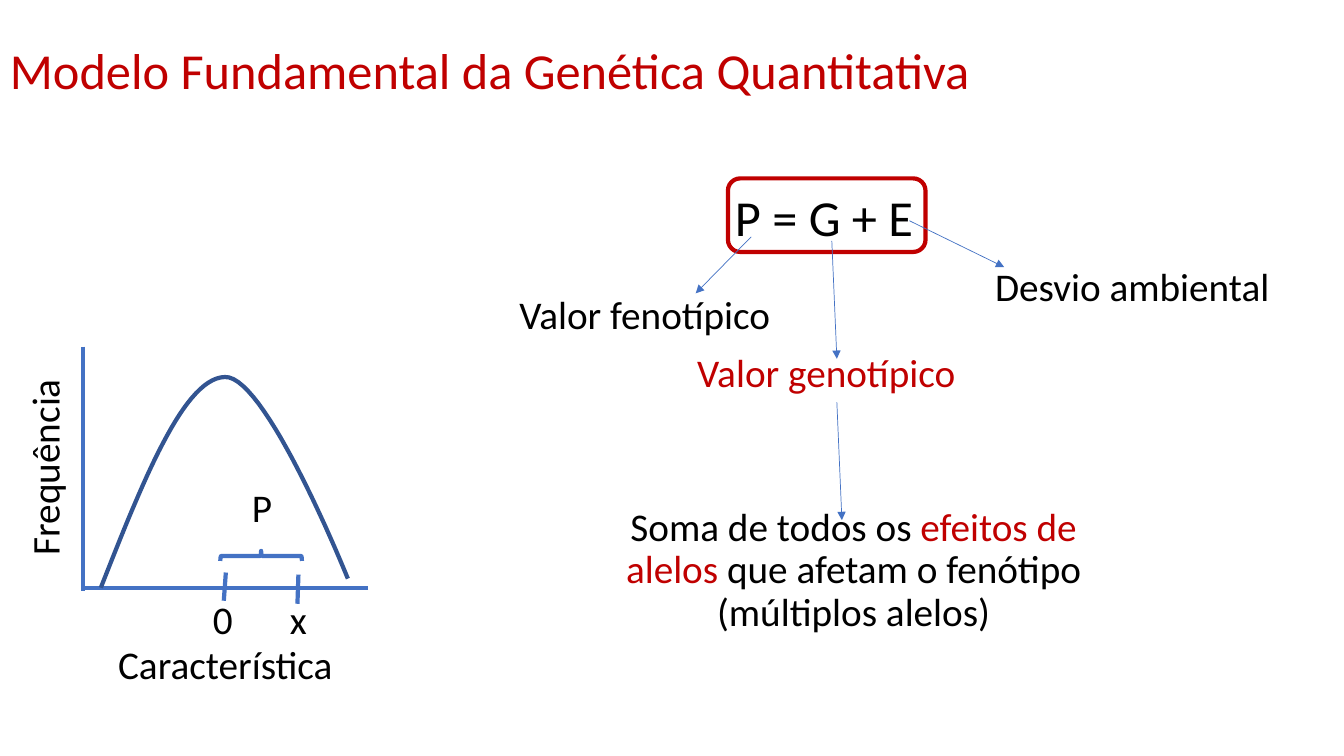
import pptx
import pptx.dml.color
import pptx.enum.shapes
import pptx.enum.text
import pptx.oxml
import pptx.util
from pptx.util import Inches

RED = pptx.dml.color.RGBColor(0xC0, 0x00, 0x00)
BLACK = pptx.dml.color.RGBColor(0x00, 0x00, 0x00)
BLUE = pptx.dml.color.RGBColor(0x44, 0x72, 0xC4)
DARK_BLUE = pptx.dml.color.RGBColor(0x32, 0x54, 0x91)
LEFT = pptx.enum.text.PP_ALIGN.LEFT
CENTER = pptx.enum.text.PP_ALIGN.CENTER
SHAPES = pptx.enum.shapes.MSO_SHAPE
NAMESPACE = 'xmlns:a="http://schemas.openxmlformats.org/drawingml/2006/main"'

presentation = pptx.Presentation()
presentation.slide_width = Inches(13.33)
presentation.slide_height = Inches(7.5)
slide = presentation.slides.add_slide(presentation.slide_layouts[6])


def add_text(box, paragraphs, size=28, alignment=CENTER):
    """Add a text box; each paragraph is a list of (text, colour) runs."""
    shape = slide.shapes.add_textbox(*map(Inches, box))
    frame = shape.text_frame
    frame.word_wrap = True
    frame.vertical_anchor = pptx.enum.text.MSO_ANCHOR.MIDDLE
    for index, runs in enumerate(paragraphs):
        paragraph = frame.add_paragraph() if index else frame.paragraphs[0]
        paragraph.alignment = alignment
        paragraph.line_spacing = 0.9
        for text, color in runs:
            run = paragraph.add_run()
            run.text = text
            run.font.name = "Calibri"
            run.font.size = pptx.util.Pt(size)
            run.font.color.rgb = color
    return shape


def add_line(start, end, width=3, arrow=False):
    connector = slide.shapes.add_connector(
        pptx.enum.shapes.MSO_CONNECTOR.STRAIGHT, *map(Inches, start + end))
    connector.line.color.rgb = BLUE
    connector.line.width = pptx.util.Pt(width)
    properties = connector.element.spPr
    properties.append(pptx.oxml.parse_xml(f"<a:effectLst {NAMESPACE}/>"))
    if arrow:
        connector.line._get_or_add_ln().append(
            pptx.oxml.parse_xml(f'<a:tailEnd {NAMESPACE} type="triangle"/>'))


# Title and equation
add_text((0, 0, 11.5, 1.45),
         [[("Modelo Fundamental da Genética Quantitativa", RED)]], 36, LEFT)
add_text((7.19, 1.46, 2.12, 1.45), [[("P = G + E", BLACK)]], 36, LEFT)
equation_frame = slide.shapes.add_shape(
    SHAPES.ROUNDED_RECTANGLE, Inches(7.22), Inches(1.77), Inches(1.96), Inches(0.73))

# Terms of the equation
for start, end in [
    ((9.02, 2.19), (9.96, 2.65)),
    ((7.45, 2.35), (6.9, 2.91)),
    ((8.25, 2.39), (8.3, 3.56)),
    ((8.3, 3.99), (8.35, 5.16)),
]:
    add_line(start, end, 0.5, arrow=True)
for box, text, color in [
    ((9.1, 2.14, 4.26, 1.45), "Desvio ambiental", BLACK),
    ((4.81, 2.42, 3.17, 1.45), "Valor fenotípico", BLACK),
    ((6.61, 2.99, 3.17, 1.45), "Valor genotípico", RED),
]:
    add_text(box, [[(text, color)]])
add_text((5.97, 4.94, 4.99, 1.45), [
    [("Soma de todos os ", BLACK), ("efeitos de alelos", RED),
     (" que afetam o fenótipo", BLACK)],
    [("(múltiplos alelos)", BLACK)],
])

# Axes and tick marks of the frequency diagram
for start, end in [
    ((0.82, 3.44), (0.82, 5.86)),
    ((3.65, 5.83), (0.82, 5.83)),
    ((2.24, 5.68), (2.22, 5.96)),
    ((2.96, 5.7), (2.95, 5.99)),
]:
    add_line(start, end)

# Bell curve, sampled from two cubic Bézier segments
STEPS = 30
curve_points = []
for segment in [
    ((1, 5.83), (1.41, 4.79), (1.82, 3.75), (2.23, 3.74)),
    ((2.23, 3.74), (2.64, 3.72), (3.45, 5.74), (3.45, 5.74)),
]:
    for step in range(STEPS + 1):
        t = step / STEPS
        weights = ((1 - t) ** 3, 3 * t * (1 - t) ** 2, 3 * t ** 2 * (1 - t), t ** 3)
        curve_points.append(tuple(
            Inches(sum(weight * point[axis] for weight, point in zip(weights, segment)))
            for axis in (0, 1)))
builder = slide.shapes.build_freeform(*curve_points[0])
builder.add_line_segments(curve_points[1:], close=False)
bell_curve = builder.convert_to_shape()

brace = slide.shapes.add_shape(
    SHAPES.RIGHT_BRACE, Inches(2.54), Inches(5.11), Inches(0.1), Inches(0.81))
brace.rotation = 270

for shape, color in [(equation_frame, RED), (bell_curve, DARK_BLUE), (brace, BLUE)]:
    shape.shadow.inherit = False
    shape.fill.background()
    shape.line.color.rgb = color
    shape.line.width = pptx.util.Pt(3)

# Diagram labels
frequency_label = add_text((-1.12, 3.91, 3.17, 1.45), [[("Frequência", BLACK)]])
frequency_label.rotation = 270
add_text((0.65, 5.89, 3.17, 1.45), [[("Característica", BLACK)]])
for left, top, text in [(1.89, 5.87, "0"), (2.64, 5.87, "x"), (2.28, 4.76, "P")]:
    add_text((left, top, 0.64, 0.6), [[(text, BLACK)]])

presentation.save("out.pptx")
